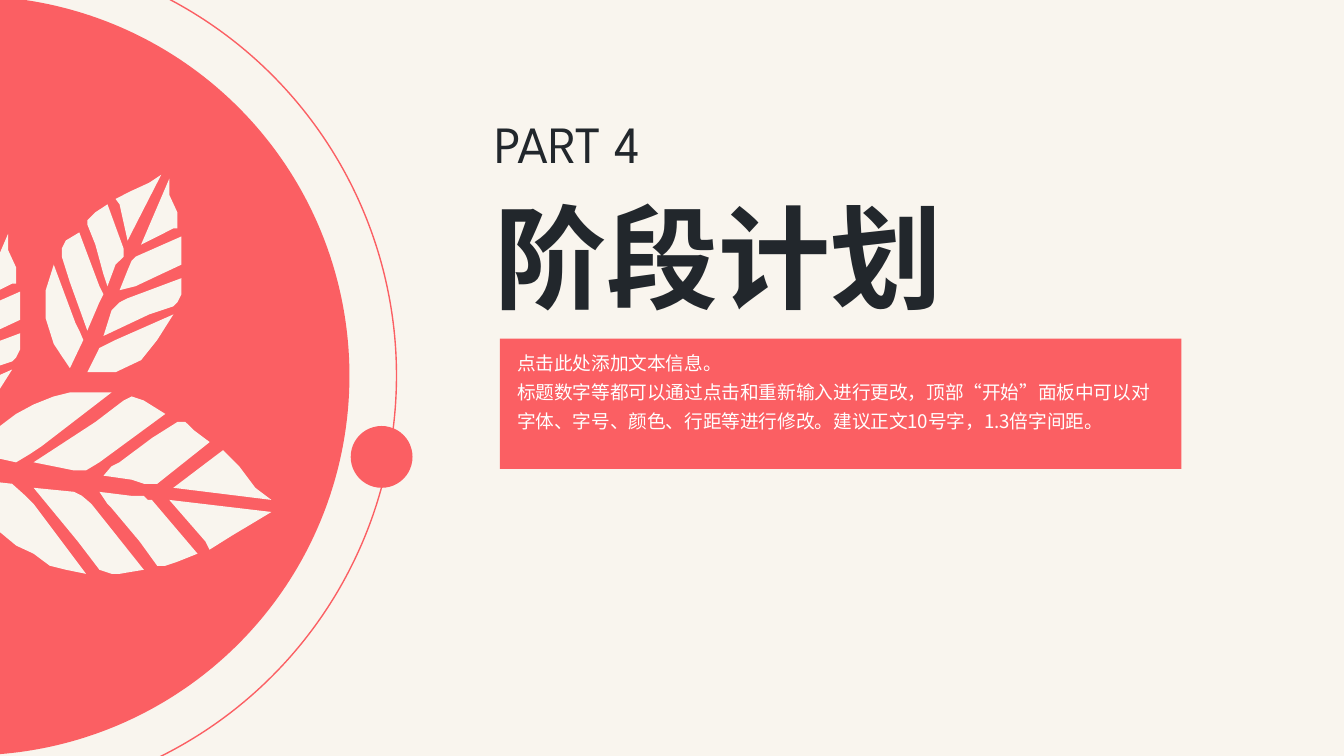
from pptx import Presentation
from pptx.dml.color import RGBColor
from pptx.enum.lang import MSO_LANGUAGE_ID as Lang
from pptx.enum.shapes import MSO_SHAPE as Shape
from pptx.enum.text import MSO_AUTO_SIZE as Auto
from pptx.oxml.ns import qn
from pptx.util import Pt

PX = 9144  # 100 px to the inch
WIDTH = 1000 * PX
HEIGHT = WIDTH * 9 // 16
CREAM = RGBColor(0xF9, 0xF5, 0xEE)
CORAL = RGBColor(0xFB, 0x5F, 0x63)
INK = RGBColor(0x22, 0x27, 0x2C)
WHITE = RGBColor(0xFF, 0xFF, 0xFF)
LATIN, HAN = "League Spartan", "Noto Sans CJK SC"

# Content
PART = "PART 4"
TITLE = "阶段计划"
BODY = [
    "点击此处添加文本信息。",
    "标题数字等都可以通过点击和重新输入进行更改，顶部“开始”面板中可以对"
    "字体、字号、颜色、行距等进行修改。建议正文10号字，1.3倍字间距。",
]

# Leaf segments, as outline points in px
LOW_LEAF = [
    [(153, 403), (156, 409), (172, 399), (202, 381), (126, 372)],
    [(98, 369), (74, 366), (80, 375), (83, 378), (104, 403), (117, 421),
     (123, 421), (132, 418), (147, 412), (113, 372), (110, 372), (107, 369)],
    [(55, 366), (25, 363), (58, 403), (74, 424), (83, 427), (89, 427),
     (107, 424), (68, 375), (61, 369)],
    [(9, 360), (-18, 357), (-15, 372), (-9, 384), (0, 396), (12, 406),
     (25, 412), (37, 421), (49, 424), (64, 427), (25, 375), (19, 369)],
    [(178, 347), (166, 335), (162, 338), (129, 363), (202, 372), (190, 363)],
    [(89, 344), (83, 347), (77, 354), (98, 357), (107, 360), (117, 360),
     (156, 329), (144, 320), (138, 314), (132, 314), (113, 326)],
    [(74, 344), (123, 308), (107, 298), (98, 295), (92, 298), (71, 314),
     (25, 344), (55, 350), (64, 350)],
    [(-15, 338), (12, 344), (22, 338), (31, 332), (83, 292), (52, 292),
     (40, 295), (25, 301), (12, 308), (0, 317), (-9, 326)],
]
TOP_LEFT = [
    [(95, 179), (120, 130), (111, 136), (98, 142), (86, 148), (89, 152)],
    [(77, 204), (80, 213), (86, 197), (92, 191), (92, 185), (80, 152),
     (71, 158), (65, 164), (65, 167), (71, 182)],
    [(52, 210), (65, 246), (74, 225), (77, 219), (74, 213), (59, 173),
     (49, 179), (46, 185), (46, 191)],
    [(56, 240), (40, 197), (34, 216), (34, 237), (40, 256), (46, 265),
     (52, 274), (62, 253), (59, 246)],
]
TOP_RIGHT = [
    [(129, 170), (132, 170), (132, 158), (126, 145), (126, 133), (105, 182)],
    [(95, 201), (89, 216), (101, 213), (120, 204), (135, 197), (135, 176),
     (101, 191), (98, 194)],
    [(129, 228), (132, 225), (135, 219), (135, 207), (95, 222), (89, 225),
     (83, 231), (77, 250), (111, 234)],
    [(74, 259), (65, 277), (86, 277), (105, 268), (117, 253), (129, 234),
     (86, 253), (80, 256)],
]
# Each leaf half with its shift; the cut leaf repeats the right half
LEAVES = [(LOW_LEAF, 0, 0), (TOP_RIGHT, -120, 41),
          (TOP_LEFT, 0, 0), (TOP_RIGHT, 0, 0)]

deck = Presentation()
deck.slide_width, deck.slide_height = WIDTH, HEIGHT
slide = deck.slides.add_slide(deck.slide_layouts[6])
slide.background.fill.solid()
slide.background.fill.fore_color.rgb = CREAM


def paint(shape, fill=None, line=None):
    shape.shadow.inherit = False
    if fill is None:
        shape.fill.background()
    else:
        shape.fill.solid()
        shape.fill.fore_color.rgb = fill
    if line is None:
        shape.line.fill.background()
    else:
        shape.line.color.rgb = line
        shape.line.width = Pt(0.75)


def draw(kind, box, **look):
    paint(slide.shapes.add_shape(kind, *(n * PX for n in box)), **look)


def write(lines, box, size, color, face=LATIN, bold=False, wrap=False,
          gap=None):
    frame = slide.shapes.add_textbox(*(n * PX for n in box)).text_frame
    frame.word_wrap = wrap
    frame.auto_size = Auto.SHAPE_TO_FIT_TEXT
    frame.text = "\n".join(lines)
    for para in frame.paragraphs:
        para.line_spacing = gap
        font = para.runs[0].font
        font.name, font.size, font.bold = face, Pt(size), bold
        font.color.rgb = color
        font.language_id = Lang.SIMPLIFIED_CHINESE
        # East Asian face follows the Latin one
        east = font._element.makeelement(qn("a:ea"), {"typeface": HAN})
        font._element.find(qn("a:latin")).addnext(east)


# Heading and body
write([PART], (358, 78, 143, 57), 28, INK)
write([TITLE], (358, 135, 357, 111), 60, INK, bold=True)
draw(Shape.RECTANGLE, (372, 252, 507, 97), fill=CORAL)
write(BODY, (375, 252, 500, 74), 10, WHITE, face=HAN, wrap=True, gap=1.3)

# Ring, disc and dot
draw(Shape.OVAL, (-338, -37, 633, 633), line=CORAL)
draw(Shape.OVAL, (-305, -3, 565, 565), fill=CORAL)
draw(Shape.OVAL, (261, 317, 46, 46), fill=CORAL)

# Leaves
plant = slide.shapes.add_group_shape()
for half, dx, dy in LEAVES:
    for points in half:
        first, *rest = [(x + dx, y + dy) for x, y in points]
        pen = plant.shapes.build_freeform(*first, scale=PX)
        pen.add_line_segments(rest, close=True)
        paint(pen.convert_to_shape(), fill=CREAM)

deck.save("out.pptx")
